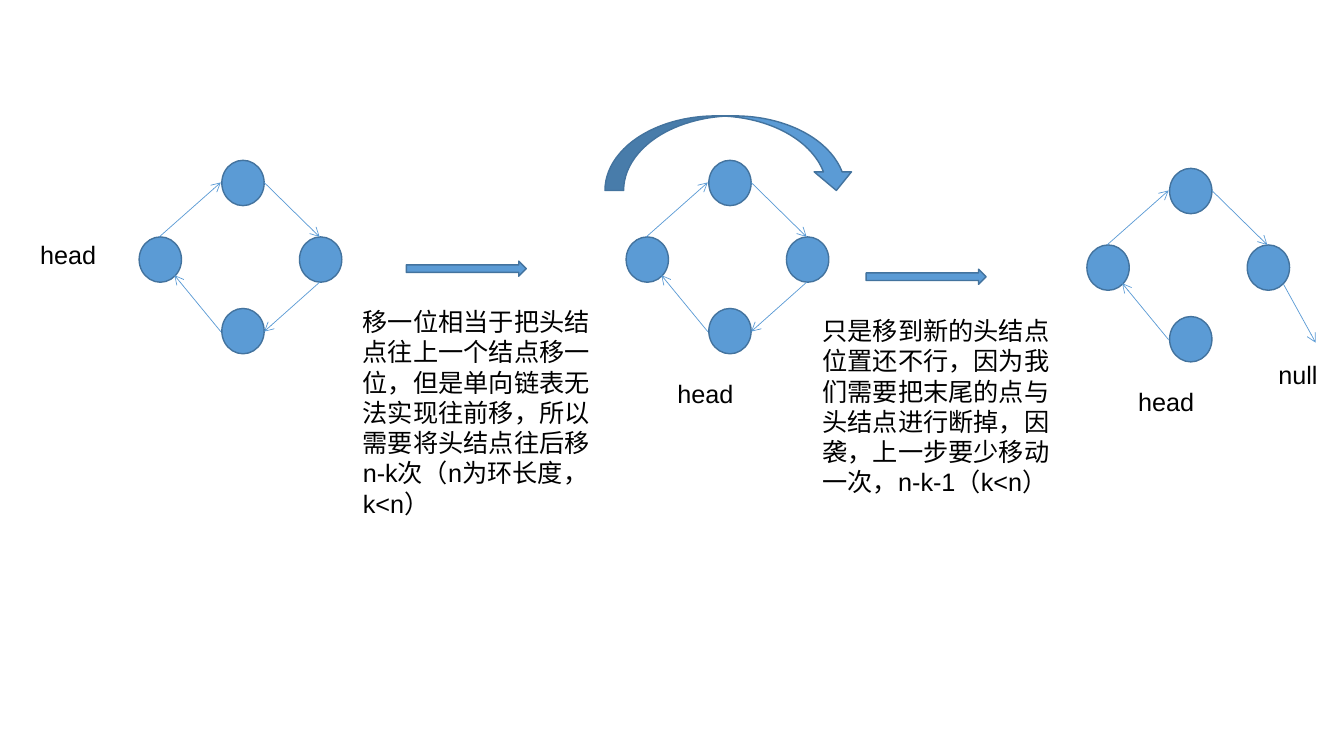
"""Build a slide that explains rotating a linked list through a ring."""
from dataclasses import dataclass
from typing import NamedTuple

from lxml import etree
from pptx import Presentation
from pptx import util as u
from pptx.dml.color import RGBColor
from pptx.enum import shapes, text
from pptx.oxml import ns
from pptx.shapes.autoshape import Shape
from pptx.slide import Slide


@dataclass(frozen=True)
class Theme:
    """Colours, font and sizes used on the slide."""
    fill: RGBColor = RGBColor(0x5B, 0x9B, 0xD5)
    outline: RGBColor = RGBColor(0x43, 0x73, 0x9E)
    ink: RGBColor = RGBColor(0, 0, 0)
    font: str = "Arial"
    text_size: float = 18
    outline_width: float = 1
    link_width: float = 0.5


class Point(NamedTuple):
    """A place or an offset in inches."""
    x: float
    y: float

    def shifted(self, offset: "Point") -> "Point":
        """Return this point moved by an offset."""
        return Point(self.x + offset.x, self.y + offset.y)


class Link(NamedTuple):
    """An arrow between two offsets within a ring."""
    start: Point
    end: Point


@dataclass(frozen=True)
class Ring:
    """Four list nodes with their links."""
    origin: Point
    links: tuple[Link, ...]


@dataclass(frozen=True)
class Label:
    """A piece of text with its place and size."""
    words: str
    corner: Point
    size: Point


@dataclass(frozen=True)
class Arrow:
    """A block arrow with its preset, place and size."""
    kind: shapes.MSO_SHAPE
    corner: Point
    size: Point


THEME = Theme()
NODE_SIZE = Point(0.42, 0.45)
NODES = (Point(0, 0.76), Point(0.82, 0), Point(1.59, 0.76), Point(0.82, 1.47))

LEFT_TO_TOP = Link(Point(0.2, 0.76), Point(0.81, 0.22))
TOP_TO_RIGHT = Link(Point(1.24, 0.22), Point(1.79, 0.76))
RIGHT_TO_BOTTOM = Link(Point(1.79, 1.21), Point(1.24, 1.7))
RIGHT_TO_NULL = Link(Point(1.95, 1.15), Point(2.27, 1.73))
BOTTOM_TO_LEFT = Link(Point(0.81, 1.7), Point(0.35, 1.14))
CLOSED = (LEFT_TO_TOP, TOP_TO_RIGHT, RIGHT_TO_BOTTOM, BOTTOM_TO_LEFT)
CUT = (LEFT_TO_TOP, TOP_TO_RIGHT, RIGHT_TO_NULL, BOTTOM_TO_LEFT)

RINGS = (
    Ring(Point(1.38, 1.59), CLOSED),
    Ring(Point(6.21, 1.59), CLOSED),
    Ring(Point(10.78, 1.67), CUT),
)
HEAD_SIZE = Point(0.83, 0.4)
STEP_SIZE = Point(1.19, 0.15)
LABELS = (
    Label("head", Point(0.3, 2.33), HEAD_SIZE),
    Label("head", Point(6.62, 3.7), HEAD_SIZE),
    Label("head", Point(11.19, 3.78), HEAD_SIZE),
    Label("null", Point(12.58, 3.52), Point(0.94, 0.4)),
    Label("移一位相当于把头结点往上一个结点移一位，但是单向链表无法实现往前移，"
          "所以需要将头结点往后移n-k次（n为环长度，k<n）",
          Point(3.5, 2.99), Point(2.5, 2.22)),
    Label("只是移到新的头结点位置还不行，因为我们需要把末尾的点与头结点进行断掉，"
          "因袭，上一步要少移动一次，n-k-1（k<n）",
          Point(8.06, 3.08), Point(2.5, 1.92)),
)
ARROWS = (
    Arrow(shapes.MSO_SHAPE.RIGHT_ARROW, Point(4.03, 2.59), STEP_SIZE),
    Arrow(shapes.MSO_SHAPE.RIGHT_ARROW, Point(8.59, 2.67), STEP_SIZE),
    Arrow(shapes.MSO_SHAPE.CURVED_DOWN_ARROW, Point(6, 1.15), Point(2.48, 0.74)),
)


def inches(*points: Point) -> list[u.Length]:
    """Flatten points into a list of lengths."""
    return [u.Inches(value) for point in points for value in point]


def draw_shape(page: Slide, kind: shapes.MSO_SHAPE, corner: Point, size: Point) -> Shape:
    """Draw a filled and outlined preset shape."""
    shape = page.shapes.add_shape(kind, *inches(corner, size))
    shape.shadow.inherit = False
    shape.fill.solid()
    shape.fill.fore_color.rgb = THEME.fill
    shape.line.color.rgb = THEME.outline
    shape.line.width = u.Pt(THEME.outline_width)
    return shape


def draw_link(page: Slide, start: Point, end: Point) -> None:
    """Draw a thin line with an open arrowhead at its end."""
    link = page.shapes.add_connector(shapes.MSO_CONNECTOR.STRAIGHT, *inches(start, end))
    link.line.color.rgb = THEME.fill
    link.line.width = u.Pt(THEME.link_width)
    properties = link._element.spPr
    etree.SubElement(properties.find(ns.qn("a:ln")), ns.qn("a:tailEnd"), type="arrow")
    etree.SubElement(properties, ns.qn("a:effectLst"))


def draw_ring(page: Slide, ring: Ring) -> None:
    """Draw the nodes of a ring and the links between them."""
    for node in NODES:
        draw_shape(page, shapes.MSO_SHAPE.OVAL, ring.origin.shifted(node), NODE_SIZE)
    for link in ring.links:
        draw_link(page, ring.origin.shifted(link.start), ring.origin.shifted(link.end))


def draw_text(page: Slide, words: str, *, corner: Point, size: Point,
              points: float = THEME.text_size, color: RGBColor = THEME.ink) -> None:
    """Write wrapped text in a box that grows with it."""
    box = page.shapes.add_textbox(*inches(corner, size))
    frame = box.text_frame
    frame.word_wrap = True
    frame.auto_size = text.MSO_AUTO_SIZE.SHAPE_TO_FIT_TEXT
    para = frame.paragraphs[0]
    span = para.add_run()
    span.text = words
    span.font.name = THEME.font
    span.font.size = u.Pt(points)
    span.font.color.rgb = color


def main() -> None:
    """Build the deck and save it."""
    deck = Presentation()
    deck.slide_width, deck.slide_height = inches(Point(13.33, 7.5))
    page = deck.slides.add_slide(deck.slide_layouts[6])
    for ring in RINGS:
        draw_ring(page, ring)
    for label in LABELS:
        draw_text(page, label.words, corner=label.corner, size=label.size)
    for arrow in ARROWS:
        draw_shape(page, arrow.kind, arrow.corner, arrow.size)
    deck.save("out.pptx")


if __name__ == "__main__":
    main()
